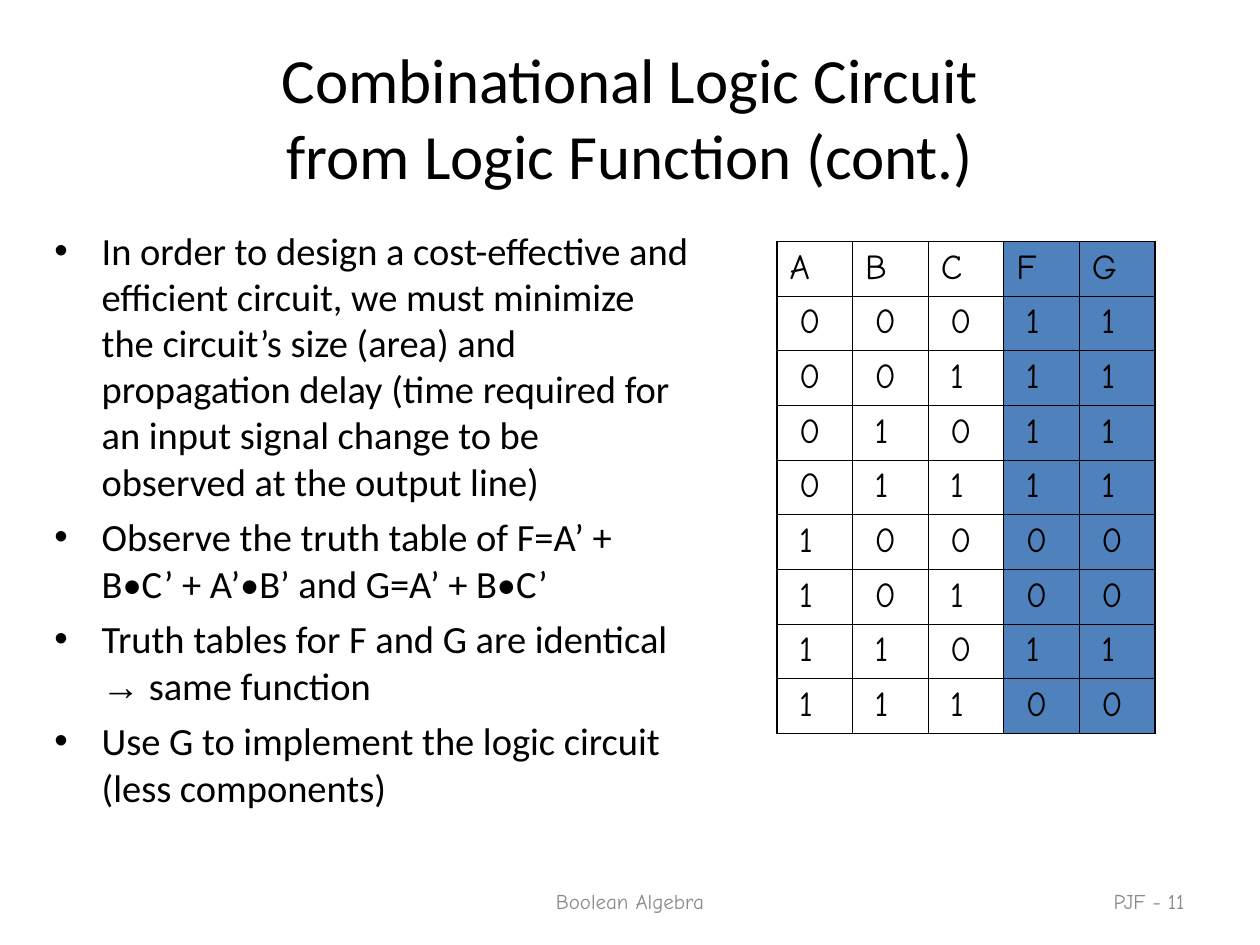
from dataclasses import dataclass
from itertools import product

from lxml.etree import SubElement
from pptx import Presentation
from pptx.dml.color import RGBColor
from pptx.enum.text import MSO_ANCHOR, PP_ALIGN
from pptx.oxml.ns import qn
from pptx.util import Pt


@dataclass(frozen=True)
class Theme:
    ink: str = "000000"
    muted: str = "898989"
    output_fill: str = "4F81BD"
    main_font: str = "Calibri"
    symbol_font: str = "Arial"
    hand_font: str = "Comic Neue"
    title_size: float = 36
    body_size: float = 22
    table_size: float = 20
    footer_size: float = 12
    outer_line: float = 1.08
    inner_line: float = 0.45


THEME = Theme()
TITLE = ["Combinational Logic Circuit", "\n", "from Logic Function (cont.)"]
POINTS = [
    ["In order to design a cost-effective and efficient circuit, we must "
     "minimize the circuit’s size (area) and propagation delay (time required "
     "for an input signal change to be observed at the output line)"],
    ["Observe the truth table of F=A’ + B•C’ + A’•B’ and G=A’ + B•C’"],
    ["Truth tables for F and G are identical ", "→", " same function"],
    ["Use G to implement the logic circuit (less components)"],
]
INPUTS, OUTPUTS = ["A", "B", "C"], ["F", "G"]


def apply_format(target, values):
    for name, value in values.items():
        setattr(target, name, value)


def add_spans(para, pieces, font, size, color):
    for piece in pieces:
        if piece == "\n":
            para.add_line_break()
            continue
        span = para.add_run()
        span.text = piece
        name = THEME.symbol_font if piece == "→" else font
        apply_format(span.font, {"name": name, "size": Pt(size)})
        span.font.color.rgb = RGBColor.from_string(color)


def add_box(page, left, top, width, height, anchor=MSO_ANCHOR.MIDDLE):
    box = page.shapes.add_textbox(Pt(left), Pt(top), Pt(width), Pt(height))
    apply_format(box.text_frame, {"word_wrap": True, "vertical_anchor": anchor})
    return box.text_frame


def add_line_of_text(page, area, pieces, font, size, color, alignment):
    para = add_box(page, *area).paragraphs[0]
    para.alignment = alignment
    add_spans(para, pieces, font, size, color)


def add_bullets(page, area, points):
    frame = add_box(page, *area, anchor=MSO_ANCHOR.TOP)
    for index, pieces in enumerate(points):
        para = frame.add_paragraph() if index else frame.paragraphs[0]
        if index:
            para.space_before = Pt(5.5)
        properties = para._p.get_or_add_pPr()
        apply_indent = {"marL": Pt(27), "indent": -Pt(27)}
        for name, value in apply_indent.items():
            properties.set(name, str(value))
        SubElement(properties, qn("a:buFont"), typeface=THEME.symbol_font)
        SubElement(properties, qn("a:buChar"), char="•")
        add_spans(para, pieces, THEME.main_font, THEME.body_size, THEME.ink)


def set_borders(cell, widths):
    properties = cell._tc.get_or_add_tcPr()
    for index, (side, width) in enumerate(widths.items()):
        line = SubElement(properties, qn(f"a:ln{side}"), w=str(Pt(width)))
        fill = SubElement(line, qn("a:solidFill"))
        SubElement(fill, qn("a:srgbClr"), val=THEME.ink)
        properties.insert(index, line)  # borders come before the cell fill


def truth_rows():
    yield INPUTS + OUTPUTS
    for a, b, c in product((0, 1), repeat=3):
        f = int(not a or (b and not c) or (not a and not b))
        g = int(not a or (b and not c))
        yield [str(bit) for bit in (a, b, c, f, g)]


def add_truth_table(page, left, top, column_width, row_height):
    rows = list(truth_rows())
    last_row, last_column = len(rows) - 1, len(rows[0]) - 1
    table = page.shapes.add_table(
        len(rows), len(rows[0]), Pt(left), Pt(top),
        Pt(column_width * len(rows[0])), Pt(row_height * len(rows))).table
    apply_format(table, {"first_row": False, "horz_banding": False})
    for column in table.columns:
        column.width = Pt(column_width)
    for r, row in enumerate(rows):
        table.rows[r].height = Pt(row_height)
        for c, text in enumerate(row):
            cell = table.cell(r, c)
            # Digits sit slightly to the right of the column letters
            cell.margin_left = Pt(12.6 if r else 7.2)
            if c >= len(INPUTS):
                cell.fill.solid()
                cell.fill.fore_color.rgb = RGBColor.from_string(THEME.output_fill)
            else:
                cell.fill.background()
            edges = {"L": c == 0, "R": c == last_column,
                     "T": r == 0, "B": r == last_row}
            set_borders(cell, {
                side: THEME.outer_line if outer else THEME.inner_line
                for side, outer in edges.items()})
            add_spans(cell.text_frame.paragraphs[0], [text],
                      THEME.hand_font, THEME.table_size, THEME.ink)


def main():
    deck = Presentation()
    apply_format(deck, {"slide_width": Pt(720), "slide_height": Pt(540)})
    page = deck.slides.add_slide(deck.slide_layouts[6])

    # Title
    add_line_of_text(page, (0, 21.6, 720, 90), TITLE, THEME.main_font,
                     THEME.title_size, THEME.ink, PP_ALIGN.CENTER)

    # Explanation and truth table
    add_bullets(page, (24, 126, 378, 356.4), POINTS)
    add_truth_table(page, 444, 138, 43.2, 31.2)

    # Footer
    for left, width, text, alignment in (
            (516, 168, "PJF - 11", PP_ALIGN.RIGHT),
            (246, 228, "Boolean Algebra", PP_ALIGN.CENTER)):
        add_line_of_text(page, (left, 500.4, width, 28.8), [text],
                         THEME.hand_font, THEME.footer_size, THEME.muted, alignment)

    deck.save("out.pptx")


if __name__ == "__main__":
    main()
